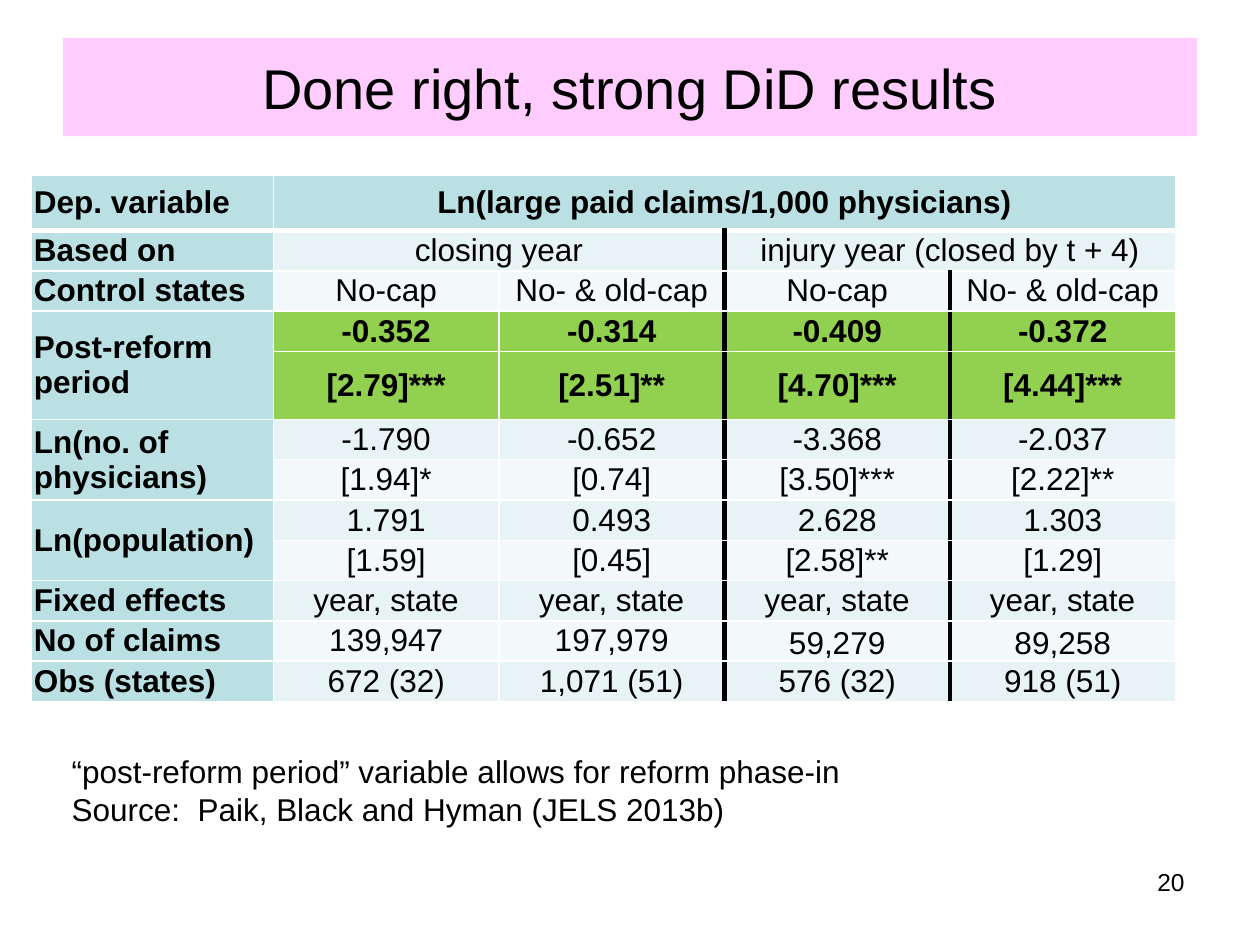
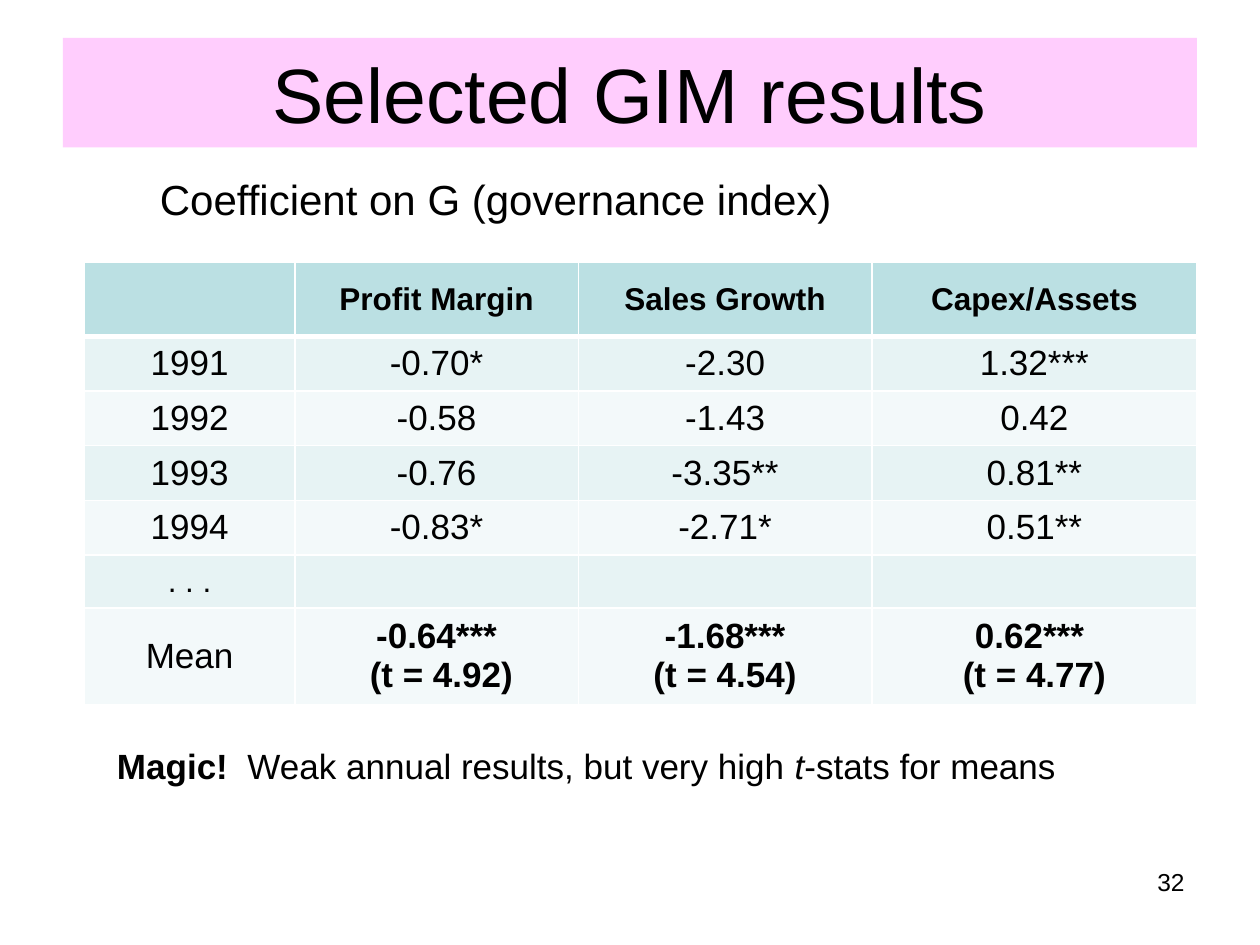
from dataclasses import dataclass

from lxml.etree import SubElement
from pptx import Presentation
from pptx.dml.color import RGBColor
from pptx.enum.shapes import MSO_SHAPE as Preset
from pptx.enum.text import MSO_ANCHOR as Anchor, PP_ALIGN as Align
from pptx.oxml.ns import qn
from pptx.util import Inches, Pt


@dataclass(frozen=True)
class Theme:
    font: str = "Arial"
    ink: str = "000000"
    white: str = "FFFFFF"
    title_band: str = "FFCDFD"
    header: str = "BBE0E3"
    odd_row: str = "E7F3F4"
    even_row: str = "F3F9FA"
    highlight: str = "92D050"
    thin: float = 1
    thick: float = 3
    number: int = 14
    body: int = 18
    large: int = 20
    lead: int = 24
    small_title: int = 32
    big_title: int = 44


THEME = Theme()


def color(value):
    return RGBColor.from_string(value)


def add_span(para, text, size=THEME.body, bold=False, italic=False):
    span = para.add_run()
    span.text = text
    span.font.name = THEME.font
    span.font.size = Pt(size)
    span.font.bold = bold
    span.font.italic = italic
    span.font.color.rgb = color(THEME.ink)


def write(frame, text, align=Align.LEFT, **style):
    for index, line in enumerate(text.split("\n")):
        para = frame.add_paragraph() if index else frame.paragraphs[0]
        para.alignment = align
        add_span(para, line, **style)


def add_text_box(page, box, wrap=False):
    frame = page.shapes.add_textbox(*map(Inches, box)).text_frame
    frame.word_wrap = wrap
    return frame


def add_title(page, box, text, size):
    band = page.shapes.add_shape(Preset.RECTANGLE, *map(Inches, box))
    band.shadow.inherit = False
    band.fill.solid()
    band.fill.fore_color.rgb = color(THEME.title_band)
    band.line.fill.background()
    band.text_frame.word_wrap = True
    band.text_frame.vertical_anchor = Anchor.MIDDLE
    write(band.text_frame, text, align=Align.CENTER, size=size)


def add_page_number(page, number):
    frame = add_text_box(page, (7.17, 6.83, 2.33, 0.52), wrap=True)
    write(frame, str(number), align=Align.RIGHT, size=THEME.number)


def set_borders(cell, **sides):
    properties = cell._tc.get_or_add_tcPr()
    for side in "LRTB":
        line_color, width = sides.get(side, (THEME.white, THEME.thin))
        line = SubElement(properties, qn(f"a:ln{side}"), w=str(Pt(width)))
        fill = SubElement(line, qn("a:solidFill"))
        SubElement(fill, qn("a:srgbClr"), val=line_color)


def format_cell(cell, fill, insets):
    cell.fill.solid()
    cell.fill.fore_color.rgb = color(fill)
    cell.vertical_anchor = Anchor.MIDDLE
    side, end = map(Inches, insets)
    cell.margin_left = cell.margin_right = side
    cell.margin_top = cell.margin_bottom = end


def add_grid(page, box, widths, heights, spans=(), dividers=None):
    frame = page.shapes.add_table(len(heights), len(widths), *map(Inches, box))
    table = frame.table
    table.first_row = table.horz_banding = False
    for column, width in zip(table.columns, widths):
        column.width = Inches(width)
    for row, height in zip(table.rows, heights):
        row.height = Inches(height)
    for first, last in spans:
        table.cell(*first).merge(table.cell(*last))

    dividers = dividers or {}
    for r in range(len(heights)):
        for c in range(len(widths)):
            cell = table.cell(r, c)
            sides = {}
            for side, edge in (("L", c), ("R", c + cell.span_width)):
                if r >= dividers.get(edge, len(heights)):
                    sides[side] = (THEME.ink, THEME.thick)
            header_edge = {0: "B", 1: "T"}.get(r)
            if header_edge:
                sides[header_edge] = (THEME.white, THEME.thick)
            set_borders(cell, **sides)
    return table


def band_color(row):
    if row == 0:
        return THEME.header
    return THEME.odd_row if row % 2 else THEME.even_row


def add_regression_table(page, box):
    rows = [
        ["Dep. variable", "Ln(large paid claims/1,000 physicians)", "", "", ""],
        ["Based on", "closing year", "", "injury year (closed by t + 4)", ""],
        ["Control states"] + ["No-cap", "No- & old-cap"] * 2,
        ["Post-reform period", "-0.352", "-0.314", "-0.409", "-0.372"],
        ["", "[2.79]***", "[2.51]**", "[4.70]***", "[4.44]***"],
        ["Ln(no. of physicians)", "-1.790", "-0.652", "-3.368", "-2.037"],
        ["", "[1.94]*", "[0.74]", "[3.50]***", "[2.22]**"],
        ["Ln(population)", "1.791", "0.493", "2.628", "1.303"],
        ["", "[1.59]", "[0.45]", "[2.58]**", "[1.29]"],
        ["Fixed effects"] + ["year, state"] * 4,
        ["No of claims", "139,947", "197,979", "59,279", "89,258"],
        ["Obs (states)", "672 (32)", "1,071 (51)", "576 (32)", "918 (51)"],
    ]
    effect_rows, claims_row = (3, 4), 10
    heights = [0.32] * len(rows)
    heights[0], heights[4] = 0.44, 0.54
    spans = [((0, 1), (0, 4)), ((1, 1), (1, 2)), ((1, 3), (1, 4))]
    spans += [((r, 0), (r + 1, 0)) for r in (3, 5, 7)]
    table = add_grid(page, box, [1.92] + [1.79] * 4, heights, spans, {3: 1, 4: 2})

    for r, row in enumerate(rows):
        for c, text in enumerate(row):
            cell = table.cell(r, c)
            fill = THEME.highlight if r in effect_rows else band_color(r)
            format_cell(cell, fill if c else THEME.header, (0.02 if c in (0, 2) else 0.07, 0))
            if r == claims_row and c > 2:
                cell.vertical_anchor = Anchor.BOTTOM
            if text:
                bold = c == 0 or r == 0 or r in effect_rows
                write(cell.text_frame, text, align=Align.CENTER if c else Align.LEFT, bold=bold)


def add_governance_table(page, box):
    rows = [
        ["", "Profit Margin", "Sales Growth", "Capex/Assets"],
        ["1991", "-0.70*", "-2.30", "1.32***"],
        ["1992", "-0.58", "-1.43", "0.42"],
        ["1993", "-0.76", "-3.35**", "0.81**"],
        ["1994", "-0.83*", "-2.71*", "0.51**"],
        [". . .", "", "", ""],
        ["Mean", "-0.64***\n (t = 4.92)", "-1.68***\n(t = 4.54)", "0.62*** \n(t = 4.77)"],
    ]
    mean_row = len(rows) - 1
    table = add_grid(page, box, [1.67, 2.25, 2.33, 2.58], [0.59] + [0.42] * 5 + [0.65])
    for r, row in enumerate(rows):
        for c, text in enumerate(row):
            cell = table.cell(r, c)
            format_cell(cell, band_color(r), (0.1, 0.05))
            if text:
                size = THEME.body if r in (0, 5) else THEME.large
                bold = r == 0 or (r == mean_row and c > 0)
                write(cell.text_frame, text, align=Align.CENTER, size=size, bold=bold)


def build_did_results(page):
    add_title(page, (0.5, 0.3, 9, 0.78), "Done right, strong DiD results", THEME.small_title)
    add_regression_table(page, (0.25, 1.39, 9.08, 4.18))
    add_page_number(page, 20)
    note = add_text_box(page, (0.47, 5.92, 6.36, 0.71))
    write(note, "“post-reform period” variable allows for reform phase-in\n"
                "Source:  Paik, Black and Hyman (JELS 2013b)")


def build_gim_results(page):
    add_title(page, (0.5, 0.3, 9, 0.87), "Selected GIM results", THEME.big_title)
    add_page_number(page, 32)
    add_governance_table(page, (0.67, 2.08, 8.83, 3.34))
    lead = add_text_box(page, (1.17, 1.33, 5.59, 0.5))
    write(lead, "Coefficient on G (governance index)", size=THEME.lead)
    remark = add_text_box(page, (0.83, 5.86, 7.79, 0.44)).paragraphs[0]
    add_span(remark, "Magic!", size=THEME.large, bold=True)
    add_span(remark, "  Weak annual results, but very high ", size=THEME.large)
    add_span(remark, "t", size=THEME.large, italic=True)
    add_span(remark, "-stats for means", size=THEME.large)


def main():
    deck = Presentation()
    deck.slide_width, deck.slide_height = Inches(10), Inches(7.5)
    for build in (build_did_results, build_gim_results):
        build(deck.slides.add_slide(deck.slide_layouts[6]))
    deck.save("out.pptx")


if __name__ == "__main__":
    main()
